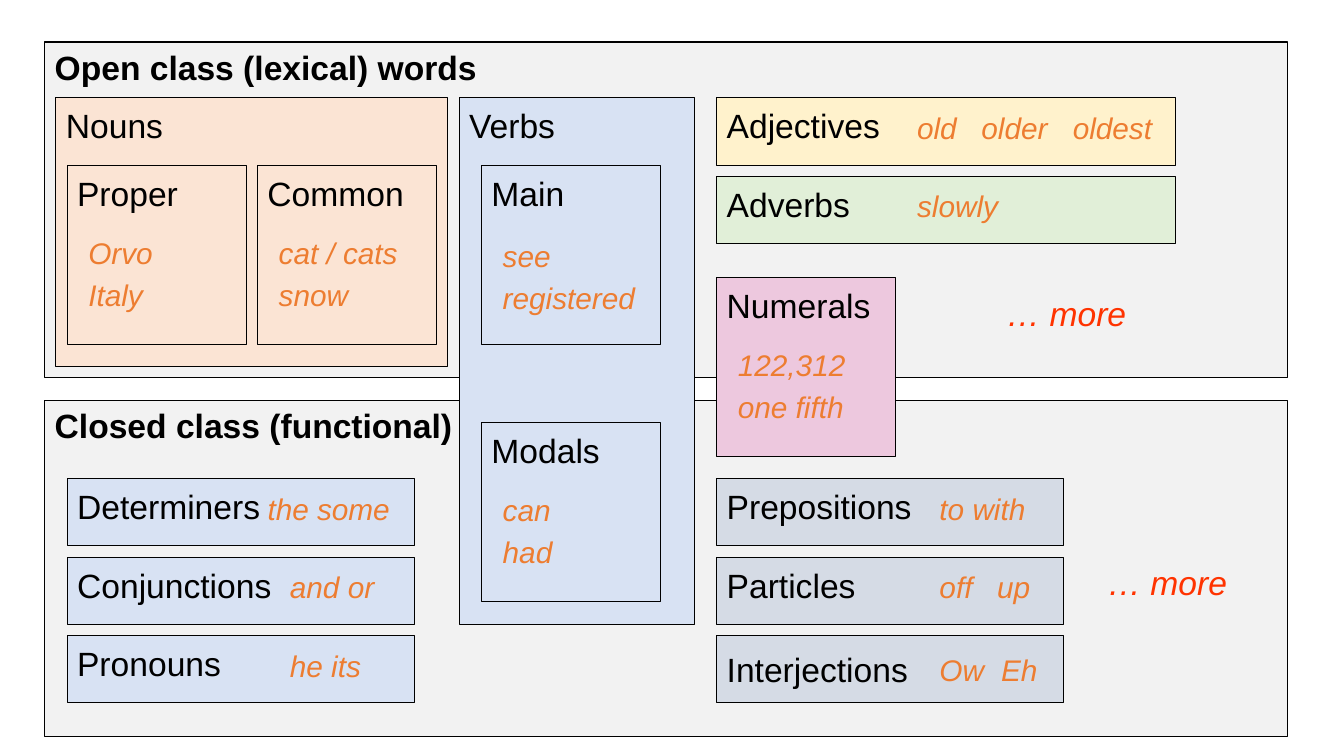
from pptx import Presentation, util as u
from pptx.dml.color import RGBColor
from pptx.enum import shapes, text
from pptx.oxml.ns import qn
from lxml import etree

PX = 5080  # 180 px to the inch
FONT = "Arial"
COLORS = {
    "ink": "000000", "example": "ED7D31", "more": "FF3300", "panel": "F2F2F2",
    "peach": "FBE4D4", "blue": "D8E2F3", "yellow": "FFF2CC", "green": "E1EFD8",
    "pink": "EDC8DE", "slate": "D5DBE5",
}

# Content: panels and word groups as (label, x, y, width, height, fill)
PANELS = [
    ("Open class (lexical) words", 80, 75, 2220, 600, "panel"),
    ("Closed class (functional)", 80, 715, 2220, 600, "panel"),
]
GROUPS = [
    ("Nouns", 100, 175, 700, 480, "peach"),
    ("Verbs", 820, 175, 420, 940, "blue"),
]

# Square boxes: label, x, y, fill, example lines, example drop
SQUARE = 320
SQUARES = [
    ("Proper", 120, 295, None, ["Orvo", "Italy"], 115),
    ("Common", 460, 295, None, ["cat / cats", "snow"], 115),
    ("Main", 860, 295, None, ["see", "registered"], 121),
    ("Modals", 860, 755, None, ["can", "had"], 115),
    ("Numerals", 1280, 495, "pink", ["122,312", "one fifth"], 115),
]

# Stacks of bars: x, y, width, then (label, fill, example, example offset, tab stops)
BAR_HEIGHT, BAR_STEP = 120, 140
STACKS = [
    (1280, 175, 820, [
        ("Adjectives", "yellow", "old\tolder\toldest", 340, [115, 278]),
        ("Adverbs", "green", "slowly", 340, []),
    ]),
    (120, 855, 620, [
        ("Determiners", "blue", "the some", 340, []),
        ("Conjunctions", "blue", "and or", 380, []),
        ("Pronouns", "blue", "he its", 380, []),
    ]),
    (1280, 855, 620, [
        ("Prepositions", "slate", "to with", 380, []),
        ("Particles", "slate", "off\tup", 380, [103]),
        ("Interjections", "slate", "Ow\tEh", 380, [110]),
    ]),
]
CENTERED = "Interjections"
MORE = [(1780, 515, 380), (1960, 995, 300)]


def rgb(name):
    return RGBColor.from_string(COLORS[name])


def write(shape, lines, size, color, bold=False, italic=False, top=9, tabs=()):
    frame = shape.text_frame
    frame.word_wrap = True
    frame.margin_left = frame.margin_right = 18 * PX
    frame.margin_top, frame.margin_bottom = top * PX, 9 * PX
    frame.vertical_anchor = text.MSO_ANCHOR.TOP
    for index, line in enumerate(lines):
        paragraph = frame.paragraphs[0] if index == 0 else frame.add_paragraph()
        paragraph.alignment = text.PP_ALIGN.LEFT
        if index:
            paragraph.space_before = u.Pt(4.3)
        if tabs:
            tab_list = etree.SubElement(paragraph._p.get_or_add_pPr(), qn("a:tabLst"))
            for stop in tabs:
                etree.SubElement(tab_list, qn("a:tab"), pos=str(stop * PX), algn="l")
        run = paragraph.add_run()
        run.text = line
        font = run.font
        font.name, font.size = FONT, u.Pt(size)
        font.bold, font.italic = bold, italic
        font.color.rgb = rgb(color)
    return frame


def add_box(slide, label, x, y, width, height, fill, bold=False, top=13):
    shape = slide.shapes.add_shape(
        shapes.MSO_SHAPE.RECTANGLE, x * PX, y * PX, width * PX, height * PX)
    shape.shadow.inherit = False
    if fill:
        shape.fill.solid()
        shape.fill.fore_color.rgb = rgb(fill)
    else:
        shape.fill.background()
    shape.line.color.rgb = rgb("ink")
    shape.line.width = u.Pt(0.75)
    return write(shape, [label], 24, "ink", bold=bold, top=top)


def add_note(slide, lines, x, y, width, height, size=21.3, color="example", tabs=()):
    box = slide.shapes.add_textbox(x * PX, y * PX, width * PX, height * PX)
    write(box, lines, size, color, italic=True, tabs=tabs)


def main():
    presentation = Presentation()
    presentation.slide_width, presentation.slide_height = 2400 * PX, 1350 * PX
    slide = presentation.slides.add_slide(presentation.slide_layouts[6])

    # Panels and word groups
    for panel in PANELS:
        add_box(slide, *panel, bold=True, top=9)
    for group in GROUPS:
        add_box(slide, *group)

    # Square boxes with examples below the label
    for label, x, y, fill, examples, drop in SQUARES:
        add_box(slide, label, x, y, SQUARE, SQUARE, fill)
        add_note(slide, examples, x + 20, y + drop, 300, 160)

    # Bars with examples beside the label
    for x, top, width, bars in STACKS:
        for index, (label, fill, example, offset, tabs) in enumerate(bars):
            y = top + index * BAR_STEP
            centered = label == CENTERED
            frame = add_box(slide, label, x, y, width, BAR_HEIGHT, fill,
                            top=9 if centered else 13)
            if centered:
                frame.vertical_anchor = text.MSO_ANCHOR.MIDDLE
            add_note(slide, [example], x + offset, y + (20 if centered else 12),
                     520 if len(tabs) > 1 else 300, 83, tabs=tabs)

    # Open-ended lists
    for x, y, width in MORE:
        add_note(slide, ["… more"], x, y, width, 90, size=24, color="more")

    presentation.save("out.pptx")


if __name__ == "__main__":
    main()
